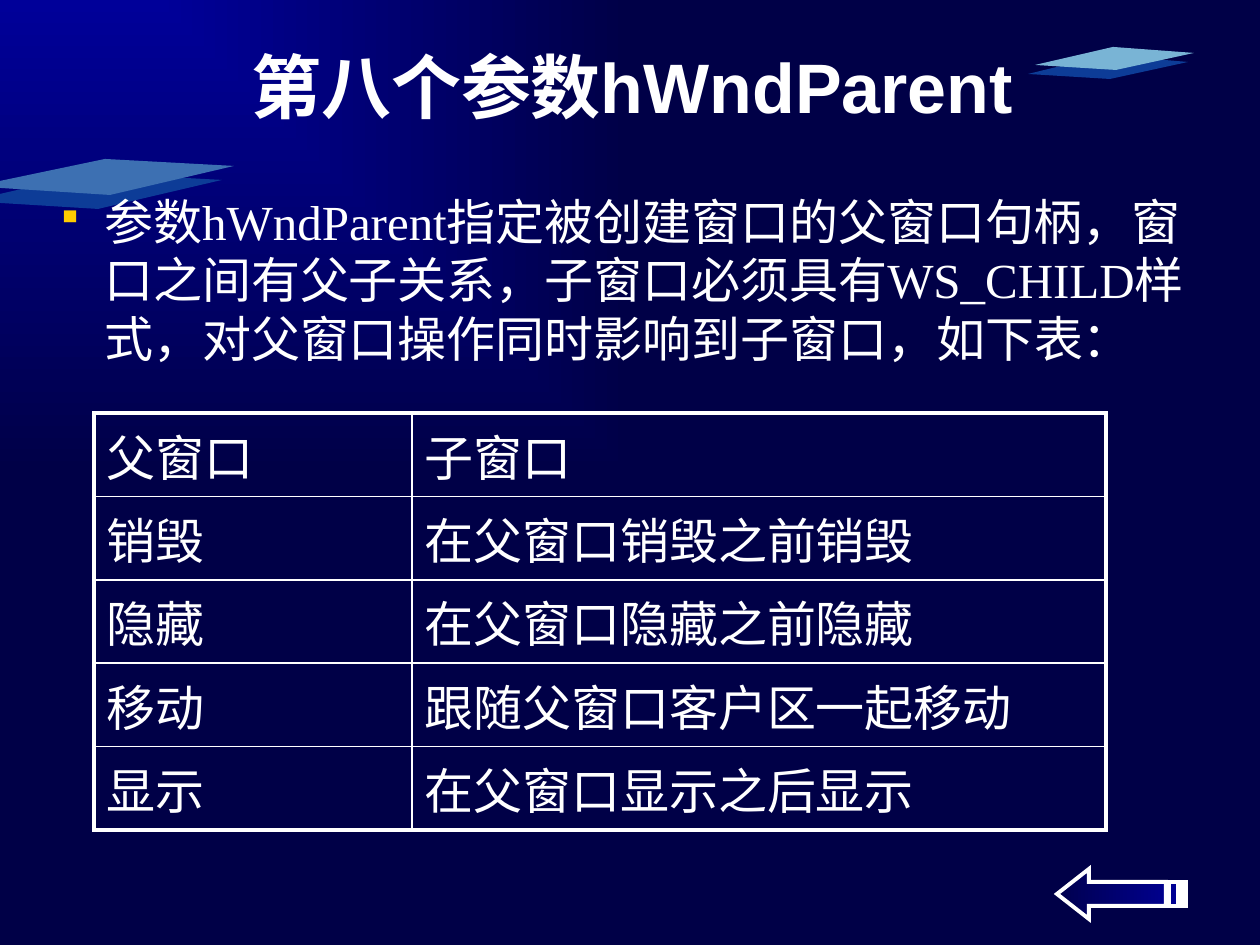
from lxml.etree import SubElement
from pptx import Presentation
from pptx.dml.color import RGBColor
from pptx.enum.text import MSO_ANCHOR, PP_ALIGN
from pptx.oxml.ns import qn
from pptx.util import Pt

PX = 914400 / 126  # EMU per pixel
WHITE = RGBColor(0xFF, 0xFF, 0xFF)
GOLD = RGBColor(0xFF, 0xCC, 0x00)
BRIGHT_BLUE = RGBColor(0x00, 0x00, 0x99)
NAVY = RGBColor(0x00, 0x00, 0x47)
ARROW_NAVY = RGBColor(0x00, 0x00, 0x4E)
TILE_DARK = RGBColor(0x0D, 0x3C, 0x97)
TILE_MID = RGBColor(0x3D, 0x70, 0xB2)
TILE_LIGHT = RGBColor(0x79, 0xB4, 0xD5)

TITLE_FONT = {"name": "Arial", "size": Pt(40), "bold": True}
BODY_FONT = {"name": "Times New Roman", "size": Pt(28), "bold": False}


def px(*lengths):
    return [round(length * PX) for length in lengths]


def write(frame, text, font_format):
    """Put one white paragraph in the frame and return it."""
    paragraph = frame.paragraphs[0]
    run = paragraph.add_run()
    run.text = text
    for attribute, value in font_format.items():
        setattr(run.font, attribute, value)
    run.font.color.rgb = WHITE
    return paragraph


prs = Presentation()
prs.slide_width, prs.slide_height = px(1260, 945)
slide = prs.slides.add_slide(prs.slide_layouts[5])

# Background shading out from the top left corner
backdrop = slide.background.fill
backdrop.gradient()
for stop, color in zip(backdrop.gradient_stops, (BRIGHT_BLUE, NAVY)):
    stop.color.rgb = color
gradient = slide.background._cSld.find(".//" + qn("a:gradFill"))
gradient.remove(gradient.find(qn("a:lin")))
shade = SubElement(gradient, qn("a:path"), path="rect")
SubElement(shade, qn("a:fillToRect"), l="0", t="0", r="100000", b="100000")

# Floating tiles
tiles = [
    (TILE_DARK, [(98, 209), (0, 203), (0, 194), (92, 173), (222, 180)]),
    (TILE_MID, [(110, 195), (0, 188), (0, 181), (105, 159), (234, 166)]),
    (TILE_DARK, [(1110, 79), (1028, 74), (1106, 55), (1188, 62)]),
    (TILE_LIGHT, [(1116, 70), (1035, 65), (1113, 47), (1194, 53)]),
]
for color, corners in tiles:
    outline = slide.shapes.build_freeform(*corners[0], scale=PX)
    outline.add_line_segments(corners[1:])
    tile = outline.convert_to_shape()
    tile.shadow.inherit = False
    tile.fill.solid()
    tile.fill.fore_color.rgb = color
    tile.line.fill.background()

# Title
title = slide.shapes.title
title.left, title.top, title.width, title.height = px(65, 46, 1134, 79)
title.text_frame.vertical_anchor = MSO_ANCHOR.MIDDLE
heading = write(title.text_frame, "第八个参数hWndParent", TITLE_FONT)
heading.alignment = PP_ALIGN.CENTER

# Explanation
explanation = slide.shapes.add_textbox(*px(44, 185, 1171, 267)).text_frame
explanation.word_wrap = True
point = write(
    explanation,
    "参数hWndParent指定被创建窗口的父窗口句柄，窗口之间有父子关系，"
    "子窗口必须具有WS_CHILD样式，对父窗口操作同时影响到子窗口，如下表：",
    BODY_FONT,
)
indent = px(48)[0]
bullet = point._p.get_or_add_pPr()
bullet.set("marL", str(indent))
bullet.set("indent", str(-indent))
bullet_color = SubElement(bullet, qn("a:buClr"))
SubElement(bullet_color, qn("a:srgbClr"), val=str(GOLD))
SubElement(bullet, qn("a:buSzPct"), val="75000")
SubElement(bullet, qn("a:buChar"), char="▪")

# Parent and child behaviour
behaviours = [
    ("父窗口", "子窗口"),
    ("销毁", "在父窗口销毁之前销毁"),
    ("隐藏", "在父窗口隐藏之前隐藏"),
    ("移动", "跟随父窗口客户区一起移动"),
    ("显示", "在父窗口显示之后显示"),
]
last_row = len(behaviours) - 1
table = slide.shapes.add_table(len(behaviours), 2, *px(94, 413, 1012, 417)).table
table.first_row = table.horz_banding = False
table.columns[0].width, table.columns[1].width = px(318, 694)
for r, behaviour in enumerate(behaviours):
    for c, text in enumerate(behaviour):
        cell = table.cell(r, c)
        write(cell.text_frame, text, BODY_FONT)
        on_edge = {"lnL": c == 0, "lnR": c == 1, "lnT": r == 0, "lnB": r == last_row}
        for side, outer in on_edge.items():
            border = SubElement(cell._tc.get_or_add_tcPr(), qn("a:" + side),
                                w=str(Pt(2.25 if outer else 1)))
            SubElement(SubElement(border, qn("a:solidFill")),
                       qn("a:srgbClr"), val=str(WHITE))
        cell.fill.background()

# Striped back arrow
arrow_parts = [
    [(1089, 919), (1089, 906), (1166, 906), (1166, 882), (1089, 882), (1089, 869), (1057, 894)],
    [(1178, 906), (1178, 882), (1169, 882), (1169, 906)],
    [(1186, 906), (1186, 882), (1182, 882), (1182, 906)],
]
outline = slide.shapes.build_freeform(*arrow_parts[0][0], scale=PX)
outline.add_line_segments(arrow_parts[0][1:])
for stripe in arrow_parts[1:]:
    outline.move_to(*stripe[0])
    outline.add_line_segments(stripe[1:])
arrow = outline.convert_to_shape()
arrow.shadow.inherit = False
arrow.fill.gradient()
arrow.fill.gradient_angle = 0
for stop, color in zip(arrow.fill.gradient_stops, (ARROW_NAVY, BRIGHT_BLUE)):
    stop.color.rgb = color
arrow.line.color.rgb = WHITE
arrow.line.width = Pt(2.25)
SubElement(arrow.line._ln, qn("a:miter"), lim="800000")

prs.save("out.pptx")
